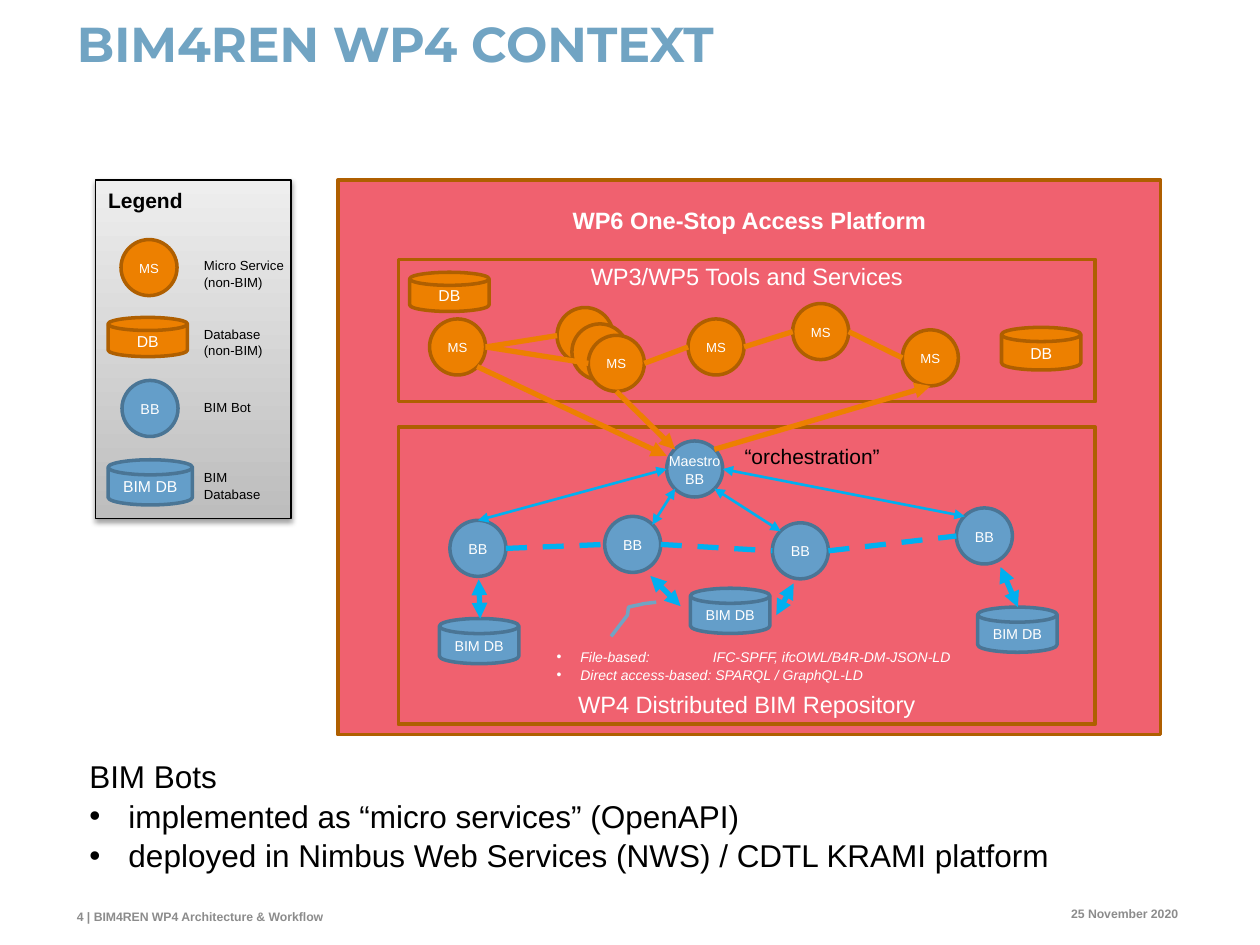
from dataclasses import dataclass

from lxml import etree
from pptx import Presentation
from pptx.dml.color import RGBColor
from pptx.enum.dml import MSO_LINE
from pptx.enum.shapes import MSO_CONNECTOR, MSO_SHAPE
from pptx.enum.text import MSO_ANCHOR, MSO_AUTO_SIZE, PP_ALIGN
from pptx.oxml.ns import qn
from pptx.util import Cm, Pt

LEFT, CENTER, RIGHT = PP_ALIGN.LEFT, PP_ALIGN.CENTER, PP_ALIGN.RIGHT
TOP, MIDDLE, BOTTOM = MSO_ANCHOR.TOP, MSO_ANCHOR.MIDDLE, MSO_ANCHOR.BOTTOM
CIRCLE, DISK, RECTANGLE = MSO_SHAPE.OVAL, MSO_SHAPE.FLOWCHART_MAGNETIC_DISK, MSO_SHAPE.RECTANGLE

BLACK = RGBColor(0x00, 0x00, 0x00)
WHITE = RGBColor(0xFF, 0xFF, 0xFF)
GRAY = RGBColor(0x8C, 0x8C, 0x8C)
TITLE_BLUE = RGBColor(0x71, 0xA4, 0xC3)
RED = RGBColor(0xF0, 0x61, 0x6F)
ORANGE = RGBColor(0xED, 0x80, 0x00)
BROWN = RGBColor(0xAF, 0x5F, 0x00)
BLUE = RGBColor(0x64, 0x9E, 0xC9)
DARK_BLUE = RGBColor(0x4A, 0x75, 0x95)
CYAN = RGBColor(0x00, 0xB0, 0xF0)
LEGEND_DARK = RGBColor(0xBD, 0xBD, 0xBD)
LEGEND_LIGHT = RGBColor(0xEE, 0xEE, 0xEE)

DIAMETER = 1.13
DEFAULT_INSETS = (0.25, 0.13, 0.25, 0.13)
# Positions on a circle as fractions of its diameter
ANCHORS = {"top": (0.5, 0), "left": (0, 0.5), "bottom": (0.5, 1), "right": (1, 0.5),
           "top left": (0.15, 0.15), "top right": (0.85, 0.15),
           "bottom left": (0.15, 0.85), "bottom right": (0.85, 0.85)}


@dataclass(frozen=True)
class Node:
    text: str
    left: float
    top: float
    size: float
    fill: RGBColor = BLUE
    outline: RGBColor = DARK_BLUE
    kind: int = CIRCLE
    width: float = DIAMETER
    height: float = DIAMETER

    def at(self, side):
        across, down = ANCHORS[side]
        return self.left + across * self.width, self.top + down * self.height


@dataclass(frozen=True)
class Link:
    start: tuple[float, float]
    end: tuple[float, float]
    color: RGBColor = CYAN
    width: float = 3
    heads: tuple[str, ...] = ()
    dashed: bool = False


@dataclass(frozen=True)
class Panel:
    text: str
    box: tuple[float, float, float, float]
    anchor: int
    inset: float
    bold: bool = False


def service(left: float, top: float, text: str = "MS") -> Node:
    return Node(text, left, top, 7.5, ORANGE, BROWN)


def bot(left: float, top: float, text: str = "BB") -> Node:
    return Node(text, left, top, 8.2)


def database(left: float, top: float, height: float) -> Node:
    return Node("DB", left, top, 9, ORANGE, BROWN, DISK, 1.6, height)


def bim_database(left: float, top: float, size: float = 8.2, width: float = 1.6) -> Node:
    return Node("BIM DB", left, top, size, kind=DISK, width=width, height=0.91)


def write_text(shape, text, *, size, color=BLACK, bold=False, italic=False, font="Arial",
               align=LEFT, anchor=TOP, insets=DEFAULT_INSETS, wrap=True, spacing=1.05,
               bullets_from=None, indent=0.0, tab=None):
    """Write one paragraph a line; lines from index bullets_from on get bullets."""
    frame = shape.text_frame
    frame.auto_size = MSO_AUTO_SIZE.NONE
    frame.word_wrap = wrap
    frame.vertical_anchor = anchor
    frame.margin_left, frame.margin_top, frame.margin_right, frame.margin_bottom = map(Cm, insets)
    for index, line in enumerate(text.split("\n")):
        paragraph = frame.add_paragraph() if index else frame.paragraphs[0]
        properties = paragraph._p.get_or_add_pPr()
        if bullets_from is not None:
            bulleted = index >= bullets_from
            properties.set("marL", str(Cm(indent) if bulleted else 0))
            properties.set("indent", str(-Cm(indent) if bulleted else 0))
            if bulleted:
                etree.SubElement(properties, qn("a:buFont"), typeface="Arial")
                etree.SubElement(properties, qn("a:buChar"), char="•")
            else:
                etree.SubElement(properties, qn("a:buNone"))
        if tab:
            tabs = etree.SubElement(properties, qn("a:tabLst"))
            etree.SubElement(tabs, qn("a:tab"), pos=str(Cm(tab)), algn="l")
        paragraph.alignment = align
        paragraph.line_spacing = spacing
        paragraph.space_before = Pt(0)
        run = paragraph.add_run()
        run.text = line
        run.font.name, run.font.size = font, Pt(size)
        run.font.bold, run.font.italic = bold, italic
        run.font.color.rgb = color


def add_label(slide, box, text, **text_format):
    write_text(slide.shapes.add_textbox(*map(Cm, box)), text, **text_format)


def add_box(slide, kind, box, fill, outline, line_width=2.0):
    shape = slide.shapes.add_shape(kind, *map(Cm, box))
    shape.shadow.inherit = False
    if fill is not None:
        shape.fill.solid()
        shape.fill.fore_color.rgb = fill
    shape.line.color.rgb = outline
    shape.line.width = Pt(line_width)
    return shape


def add_node(slide, node: Node):
    shape = add_box(slide, node.kind, (node.left, node.top, node.width, node.height),
                    node.fill, node.outline)
    if node.text:
        write_text(shape, node.text, size=node.size, color=WHITE, align=CENTER, anchor=MIDDLE,
                   insets=(0, 0, 0, 0), wrap=False)


def add_link(slide, link: Link):
    connector = slide.shapes.add_connector(MSO_CONNECTOR.STRAIGHT, *map(Cm, link.start + link.end))
    connector.line.color.rgb = link.color
    connector.line.width = Pt(link.width)
    if link.dashed:
        connector.line.dash_style = MSO_LINE.DASH
    for head in link.heads:
        etree.SubElement(connector.line._get_or_add_ln(), qn(f"a:{head}"), type="triangle")
    etree.SubElement(connector._element.spPr, qn("a:effectLst"))


def add_legend(slide):
    legend = add_box(slide, RECTANGLE, (1.93, 3.63, 3.94, 6.83), None, BLACK, 0.75)
    legend.fill.gradient()
    legend.fill.gradient_angle = 90
    for stop, color in zip(legend.fill.gradient_stops, (LEGEND_DARK, LEGEND_LIGHT)):
        stop.color.rgb = color
    effects = legend._element.spPr.find(qn("a:effectLst"))
    shadow = etree.SubElement(effects, qn("a:outerShdw"), blurRad=str(Pt(3.1)),
                              dist=str(Pt(1.6)), dir="5400000", rotWithShape="0")
    shade = etree.SubElement(shadow, qn("a:srgbClr"), val="000000")
    etree.SubElement(shade, qn("a:alpha"), val="38000")
    write_text(legend, "Legend", size=12, bold=True)
    for node in (service(2.44, 4.83), database(2.18, 6.4, 0.79), bot(2.46, 7.67),
                 bim_database(2.18, 9.27, 9, 1.7)):
        add_node(slide, node)
    for top, width, text in ((5.05, 2.36, "Micro Service (non-BIM)"), (6.43, 1.88, "Database (non-BIM)"),
                             (7.9, 1.88, "BIM Bot"), (9.32, 1.88, "BIM\nDatabase")):
        add_label(slide, (3.86, top, width, 0.89), text, size=7.5)


def add_platform(slide):
    for panel in (
        Panel("WP6 One-Stop Access Platform", (6.81, 3.63, 16.59, 11.18), TOP, 0.49, True),
        Panel("WP4 Distributed BIM Repository", (8.03, 8.61, 14.05, 5.99), BOTTOM, 0.13),
        Panel("WP3/WP5 Tools and Services", (8.03, 5.23, 14.05, 2.87), TOP, 0.03),
    ):
        write_text(add_box(slide, RECTANGLE, panel.box, RED, BROWN), panel.text, size=13.5,
                   color=WHITE, bold=panel.bold, align=CENTER, anchor=panel.anchor,
                   insets=(0.25, panel.inset, 0.25, panel.inset))

    stack = [service(11.23, 6.2, ""), service(11.53, 6.53, ""), service(11.86, 6.76)]
    services = [service(8.66, 6.43), service(13.87, 6.43), service(15.98, 6.12), service(18.19, 6.65)]
    bots = [bot(9.07, 10.49), bot(12.19, 10.41), bot(15.57, 10.54), bot(19.28, 10.24)]
    maestro = bot(13.44, 8.89, "Maestro\nBB")
    databases = [database(20.19, 6.6, 0.86), database(8.26, 5.49, 0.79), bim_database(8.86, 12.47),
                 bim_database(13.92, 11.86), bim_database(19.71, 12.24)]
    for node in (*stack, *services, *bots, maestro, *databases):
        add_node(slide, node)

    first, last, front = services[0], services[-1], stack[-1]
    chain = [(first, stack[0]), (first, front), (front, services[1]), *zip(services[1:], services[2:])]
    links = [Link(a.at("right"), b.at("left"), ORANGE) for a, b in chain]
    links += [Link(a.at("right"), b.at("left"), dashed=True) for a, b in zip(bots, bots[1:])]
    links += [Link(start, end, ORANGE, heads=("tailEnd",)) for start, end in (
        (front.at("bottom"), maestro.at("top left")),
        (maestro.at("top right"), last.at("bottom")),
        (first.at("bottom right"), (13.44, 9.19)))]
    both = ("headEnd", "tailEnd")
    links += [Link(maestro.at(start), target.at(end), width=1.5, heads=both)
              for target, start, end in zip(bots, ("left", "bottom left", "bottom right", "right"),
                                            ("top", "top right", "top left", "top left"))]
    links += [Link(start, end, heads=both) for start, end in (
        ((9.65, 11.68), (9.68, 12.47)), ((13.11, 11.61), (13.72, 12.22)),
        ((16, 11.76), (15.65, 12.4)), ((20.17, 11.43), (20.52, 12.24)))]
    for link in links:
        add_link(slide, link)

    squiggle = [(12.32, 12.83), (12.65, 12.4), (12.67, 12.24), (12.75, 12.22), (12.9, 12.19),
                (12.98, 12.17), (13.23, 12.14)]
    points = [(Cm(x), Cm(y)) for x, y in squiggle]
    builder = slide.shapes.build_freeform(*points[0])
    builder.add_line_segments(points[1:], close=False)
    curve = builder.convert_to_shape()
    curve.shadow.inherit = False
    curve.fill.background()
    curve.line.color.rgb = TITLE_BLUE
    curve.line.width = Pt(2)

    add_label(slide, (10.97, 12.93, 8.59, 0.94),
              "File-based:\tIFC-SPFF, ifcOWL/B4R-DM-JSON-LD\nDirect access-based: SPARQL / GraphQL-LD",
              size=8, color=WHITE, italic=True, bullets_from=0, indent=0.48, tab=3.15)
    add_label(slide, (14.76, 8.79, 3.25, 0.76), "“orchestration”", size=12, wrap=False)


def place(shape, box):
    shape.left, shape.top, shape.width, shape.height = map(Cm, box)


def main():
    presentation = Presentation()
    presentation.slide_width, presentation.slide_height = Cm(25.4), Cm(19.05)
    slide = presentation.slides.add_slide(presentation.slide_layouts[1])
    title, body = slide.placeholders
    place(title, (1.55, 0.46, 22.38, 2.01))
    write_text(title, "BIM4REN WP4 CONTEXT", size=28, color=TITLE_BLUE, bold=True,
               font="Montserrat", insets=(0, 0, 0, 0), spacing=Pt(28))
    place(body, (1.55, 15.09, 20.8, 2.57))
    write_text(body, "BIM Bots\nimplemented as “micro services” (OpenAPI)\n"
               "deployed in Nimbus Web Services (NWS) / CDTL KRAMI platform",
               size=18, bullets_from=1, indent=0.79)
    footer = {"size": 7, "color": GRAY, "bold": True, "anchor": BOTTOM, "insets": (0, 0, 0, 0)}
    add_label(slide, (17.83, 18.08, 5.92, 0.48), "25 November 2020", align=RIGHT, **footer)
    add_label(slide, (1.55, 18.14, 11.99, 0.48), "4 | BIM4REN WP4 Architecture & Workflow", **footer)
    add_legend(slide)
    add_platform(slide)
    presentation.save("out.pptx")


if __name__ == "__main__":
    main()
